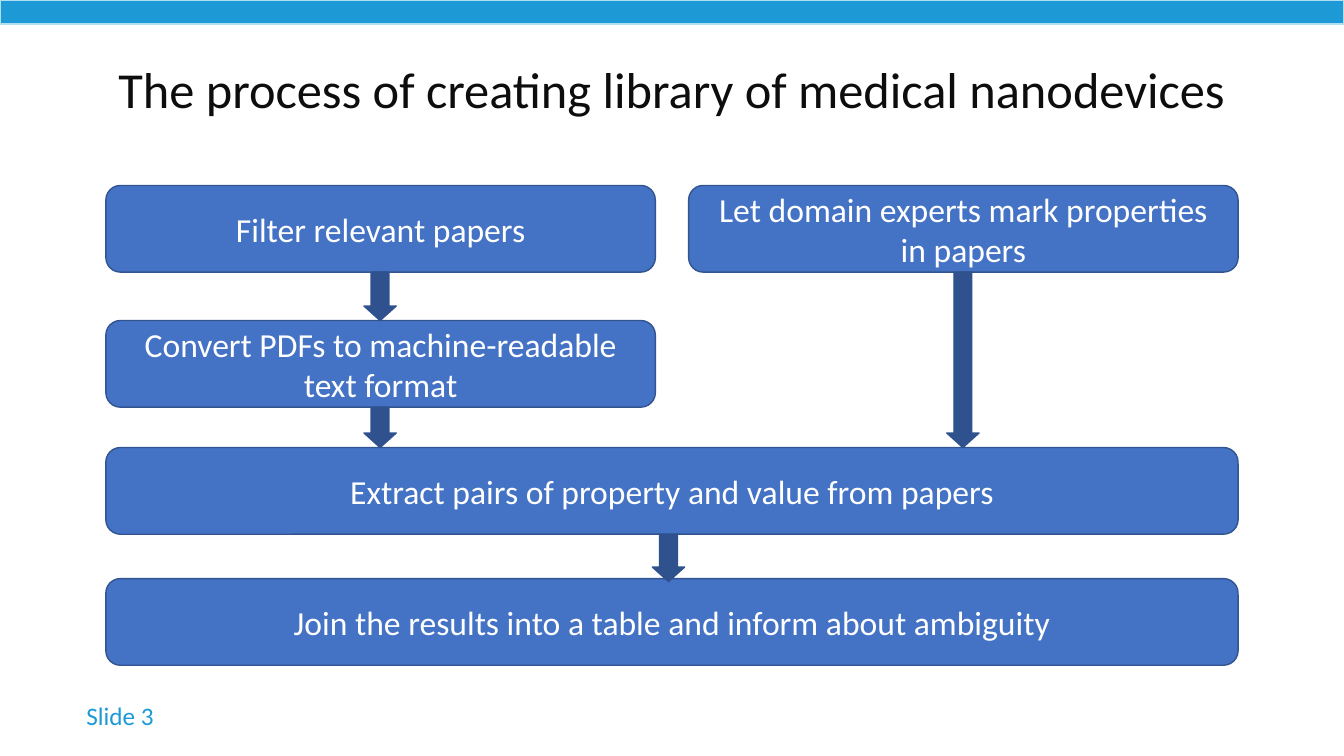
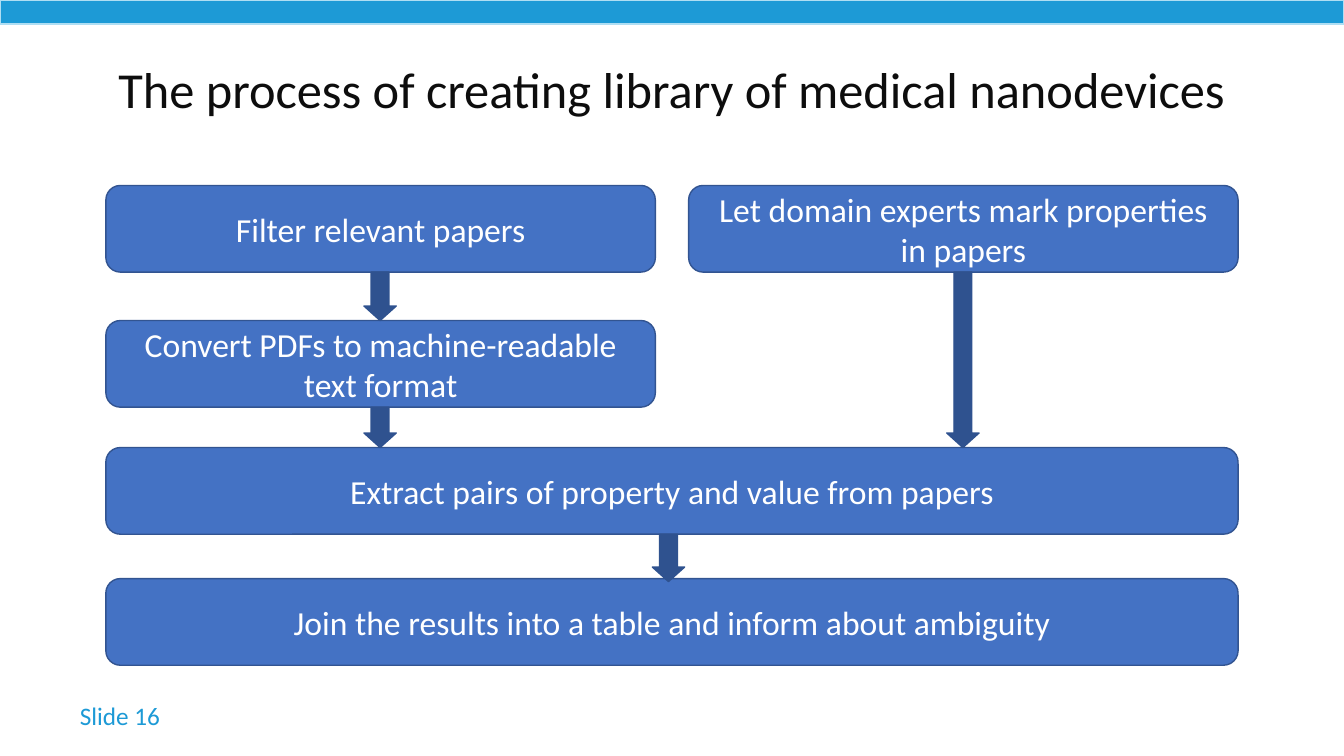
from pptx import Presentation
from pptx import util as u
from pptx.dml.color import RGBColor
from pptx.enum import shapes, text

# Content
TITLE = "The process of creating library of medical nanodevices"
SLIDE_NUMBERS = [3, 16]

# Steps: name -> (label, column, top in px)
STEPS = {
    "filter": ("Filter relevant papers", "left", 184),
    "convert": ("Convert PDFs to machine-readable text format", "left", 318),
    "mark": ("Let domain experts mark properties in papers", "right", 184),
    "extract": ("Extract pairs of property and value from papers", "full", 444),
    "join": ("Join the results into a table and inform about ambiguity", "full", 574),
}
# Arrows: start step, end step, sideways shift, overlap with the end step
ARROWS = [
    ("filter", "convert", 0, 0),
    ("convert", "extract", 0, 0),
    ("extract", "join", -3, 3),
    ("mark", "extract", 0, 0),
]


class Theme:
    font = "Calibri"
    title_size, step_size, footer_size = 36, 24, 18
    band, band_line = "1D9AD6", "AFDEF3"
    title = "0D0D0D"
    step, step_line, step_text = "4472C4", "325491", "FFFFFF"
    arrow = "2F528F"


# Geometry in px, 100 px to the inch
PX = u.Inches(1) // 100
PAGE_WIDTH, PAGE_HEIGHT = 1333, 750
STEP_HEIGHT = 86
MARGIN, COLUMN_WIDTH, COLUMN_GAP = 105, 545, 33
COLUMNS = {
    "left": (MARGIN, COLUMN_WIDTH),
    "right": (MARGIN + COLUMN_WIDTH + COLUMN_GAP, COLUMN_WIDTH),
    "full": (MARGIN, 2 * COLUMN_WIDTH + COLUMN_GAP),
}
ARROW_WIDTH = 32
ARROW_SHAFT, ARROW_HEAD = 0.55, 0.45


def add_shape(page, kind, frame, fill, line):
    shape = page.shapes.add_shape(kind, *(n * PX for n in frame))
    shape.shadow.inherit = False
    shape.fill.solid()
    shape.fill.fore_color.rgb = RGBColor.from_string(fill)
    shape.line.color.rgb = RGBColor.from_string(line)
    shape.line.width = u.Pt(1)
    return shape


def write(box, words, size, color):
    frame = box.text_frame
    frame.word_wrap = True
    frame.vertical_anchor = text.MSO_ANCHOR.MIDDLE
    para = frame.paragraphs[0]
    para.text = words
    para.alignment = text.PP_ALIGN.CENTER
    para.font.name = Theme.font
    para.font.size = u.Pt(size)
    para.font.color.rgb = RGBColor.from_string(color)


def add_label(page, frame, words, size, color):
    box = page.shapes.add_textbox(*(n * PX for n in frame))
    write(box, words, size, color)


def add_page_frame(page, number):
    """Top band, title and slide number."""
    add_shape(page, shapes.MSO_SHAPE.RECTANGLE, (0, 0, PAGE_WIDTH, 24),
              Theme.band, Theme.band_line)
    add_label(page, (62, 685, 114, 49), f"Slide {number}",
              Theme.footer_size, Theme.band)
    add_label(page, (0, 63, PAGE_WIDTH, 49), TITLE,
              Theme.title_size, Theme.title)


def add_step(page, label, column, top):
    left, width = COLUMNS[column]
    box = add_shape(page, shapes.MSO_SHAPE.ROUNDED_RECTANGLE,
                    (left, top, width, STEP_HEIGHT), Theme.step, Theme.step_line)
    write(box, label, Theme.step_size, Theme.step_text)


def add_arrow(page, start, end, shift, overlap):
    _, column, start_top = STEPS[start]
    left, width = COLUMNS[column]
    top = start_top + STEP_HEIGHT
    bottom = STEPS[end][2] + overlap
    arrow_left = left + (width - ARROW_WIDTH) // 2 + shift
    arrow = add_shape(page, shapes.MSO_SHAPE.DOWN_ARROW,
                      (arrow_left, top, ARROW_WIDTH, bottom - top),
                      Theme.arrow, Theme.arrow)
    arrow.adjustments[0] = ARROW_SHAFT
    arrow.adjustments[1] = ARROW_HEAD


def main():
    deck = Presentation()
    deck.slide_width, deck.slide_height = PAGE_WIDTH * PX, PAGE_HEIGHT * PX
    for number in SLIDE_NUMBERS:
        page = deck.slides.add_slide(deck.slide_layouts[6])
        add_page_frame(page, number)
        for step in STEPS.values():
            add_step(page, *step)
        for arrow in ARROWS:
            add_arrow(page, *arrow)
    deck.save("out.pptx")


if __name__ == "__main__":
    main()
